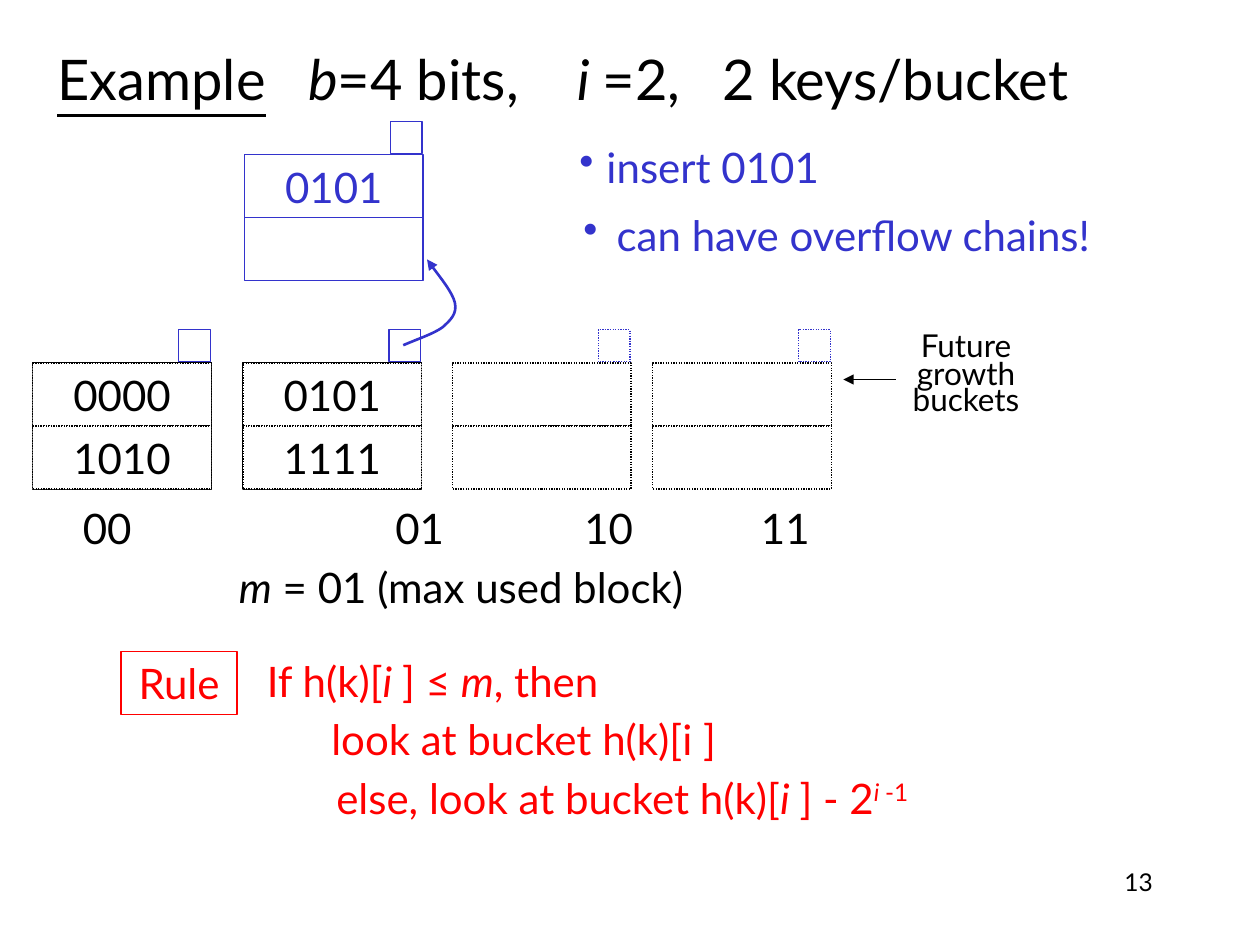
from dataclasses import dataclass
from typing import Optional

from lxml import etree
from pptx import Presentation
from pptx.dml.color import RGBColor
from pptx.enum.dml import MSO_LINE
from pptx.enum.shapes import MSO_CONNECTOR, MSO_SHAPE
from pptx.enum.text import MSO_ANCHOR, PP_ALIGN
from pptx.oxml.ns import qn
from pptx.util import Cm, Pt

BLACK = RGBColor(0, 0, 0)
WHITE = RGBColor(255, 255, 255)
BLUE = RGBColor(0x33, 0x33, 0xCC)
RED = RGBColor(255, 0, 0)
FONT = "Lato"
BUCKET_W, CELL_H, FLAG = 3.6, 1.27, 0.64
BUCKET_TOP = 7.32


@dataclass
class Run:
    text: str
    italic: bool = False
    underline: bool = False
    baseline: int = 0


@dataclass
class Para:
    runs: list[Run]
    indent: float = 0
    before: float = 0
    spacing: Optional[float] = None
    bullet: bool = False
    tabs: tuple[float, ...] = ()


@dataclass
class Bucket:
    left: float
    top: float
    keys: tuple[str, str]
    color: RGBColor = BLACK
    dotted: bool = True
    flag_dotted: bool = False
    framed: bool = False


def plain(text: str, **options) -> Para:
    return Para([Run(text)], **options)


def write(frame, paras: list[Para], size: float, color: RGBColor,
          align=PP_ALIGN.LEFT, anchor=MSO_ANCHOR.TOP, wrap: bool = True) -> None:
    frame.word_wrap = wrap
    frame.vertical_anchor = anchor
    for number, para in enumerate(paras):
        p = frame.add_paragraph() if number else frame.paragraphs[0]
        p.alignment = align
        p.space_before = Pt(para.before)
        if para.spacing:
            p.line_spacing = para.spacing
        props = p._p.get_or_add_pPr()
        if para.indent:
            props.set("marL", str(Cm(para.indent)))
        if para.bullet:
            etree.SubElement(props, qn("a:buChar")).set("char", "•")
        if para.tabs:
            stops = etree.SubElement(props, qn("a:tabLst"))
            for stop in para.tabs:
                etree.SubElement(stops, qn("a:tab"), pos=str(Cm(stop)), algn="l")
        for run in para.runs:
            r = p.add_run()
            r.text = run.text
            r.font.name, r.font.size = FONT, Pt(size)
            r.font.color.rgb = color
            r.font.italic, r.font.underline = run.italic, run.underline
            if run.baseline:
                r._r.get_or_add_rPr().set("baseline", str(run.baseline * 1000))


def add_text(left: float, top: float, width: float, height: float,
             paras: list[Para], size: float = 24, color: RGBColor = BLACK, **options) -> None:
    box = slide.shapes.add_textbox(Cm(left), Cm(top), Cm(width), Cm(height))
    write(box.text_frame, paras, size, color, **options)


def add_box(left: float, top: float, width: float, height: float,
            color: RGBColor, dotted: bool = False, text: str = "") -> None:
    box = slide.shapes.add_shape(MSO_SHAPE.RECTANGLE, Cm(left), Cm(top), Cm(width), Cm(height))
    box.shadow.inherit = False
    box.fill.solid()
    box.fill.fore_color.rgb = WHITE
    box.line.color.rgb = color
    box.line.width = Pt(0.75)
    if dotted:
        box.line.dash_style = MSO_LINE.ROUND_DOT
    if text:
        write(box.text_frame, [plain(text)], 24, color, **CENTERED)


def add_bucket(bucket: Bucket) -> None:
    if bucket.framed:
        add_box(bucket.left, bucket.top, BUCKET_W, 2 * CELL_H, bucket.color)
    for row, key in enumerate(bucket.keys):
        add_box(bucket.left, bucket.top + row * CELL_H, BUCKET_W, CELL_H,
                bucket.color, bucket.dotted, key)
    add_box(bucket.left + 2.94, bucket.top - 0.67, FLAG, FLAG, BLUE, bucket.flag_dotted)


def style_arrow(shape, color: RGBColor, width: float) -> None:
    shape.line.color.rgb = color
    shape.line.width = Pt(width)
    etree.SubElement(shape.line._get_or_add_ln(), qn("a:tailEnd"), type="triangle")
    etree.SubElement(shape._element.spPr, qn("a:effectLst"))


def add_curve(points: list[tuple[float, float]]) -> None:
    """Draw an arrow through Bezier points: a start, then three per segment."""
    start, *rest = [(Cm(x), Cm(y)) for x, y in points]
    builder = slide.shapes.build_freeform(*start)
    builder.add_line_segments(rest, close=False)
    curve = builder.convert_to_shape()
    path = curve._element.spPr.find(".//" + qn("a:path"))
    lines = path.findall(qn("a:lnTo"))
    for first in range(0, len(lines), 3):
        bezier = etree.SubElement(path, qn("a:cubicBezTo"))
        for line in lines[first:first + 3]:
            bezier.append(line[0])
            path.remove(line)
    curve.fill.background()
    style_arrow(curve, BLUE, 1.5)


CENTERED = dict(align=PP_ALIGN.CENTER, anchor=MSO_ANCHOR.MIDDLE, wrap=False)

prs = Presentation()
prs.slide_width, prs.slide_height = Cm(25.4), Cm(19.05)
slide = prs.slides.add_slide(prs.slide_layouts[6])

# Title and page number
add_text(0.91, 0.86, 22.38, 1.45, [Para([
    Run("Example", underline=True), Run("\t"), Run("b", italic=True), Run("=4 bits,\t"),
    Run("i ", italic=True), Run("=2,\t2 keys/bucket")], tabs=(5.05, 10.47, 13.4))],
    size=32, anchor=MSO_ANCHOR.MIDDLE)
add_text(18.21, 17.35, 5.28, 1.27, [plain("13")], size=14, align=PP_ALIGN.RIGHT)

# Buckets with their overflow flags
for item in (
    Bucket(0.66, BUCKET_TOP, ("0000", "1010"), framed=True),
    Bucket(4.9, BUCKET_TOP, ("0101", "1111"), framed=True),
    Bucket(9.12, BUCKET_TOP, ("", ""), flag_dotted=True),
    Bucket(13.16, BUCKET_TOP, ("", ""), flag_dotted=True),
    Bucket(4.93, 3.12, ("0101", ""), color=BLUE, dotted=False),
):
    add_bucket(item)
add_curve([(8.13, 6.96), (8.43, 6.83), (8.74, 6.73), (8.92, 6.6),
           (9.09, 6.45), (9.22, 6.32), (9.17, 6.1),
           (9.12, 5.89), (8.71, 5.38), (8.61, 5.23)])

# Bucket labels
add_text(1.42, 10.01, 15.57, 1.22,
         [plain("00\t01\t10\t11", before=4.8, tabs=(6.3, 10.11, 13.67))])
add_text(4.29, 11.2, 10.01, 1.27,
         [Para([Run("m", italic=True), Run(" = 01 (max used block)")])], **CENTERED)

# Future growth note
arrow = slide.shapes.add_connector(MSO_CONNECTOR.STRAIGHT, Cm(18.06), Cm(7.65), Cm(17), Cm(7.65))
style_arrow(arrow, BLACK, 0.75)
add_text(18.14, 6.45, 2.67, 2.08,
         [plain("Future"), plain("growth", spacing=0.7), plain("buckets", spacing=0.7)],
         size=18, **CENTERED)

# Insertion remarks
add_text(11.43, 2.72, 5.36, 1.27, [plain(" insert 0101", bullet=True)], color=BLUE, **CENTERED)
add_text(11.51, 4.09, 10.87, 1.27, [plain(" can have overflow chains!", bullet=True)],
         color=BLUE, **CENTERED)

# Lookup rule
add_box(2.44, 13.13, 2.34, CELL_H, RED, text="Rule")
add_text(5.13, 13.08, 15.37, 3.81, [
    Para([Run("If h(k)["), Run("i ", italic=True), Run("] ≤ "), Run("m", italic=True),
          Run(", then")], before=4.8),
    plain("look at bucket h(k)[i ]", indent=1.3, before=4.8),
    Para([Run("else, look at bucket h(k)["), Run("i ", italic=True), Run("] - 2"),
          Run("i ", italic=True, baseline=30), Run("-1", baseline=30)], indent=1.4, before=4.8),
], color=RED)

prs.save("out.pptx")
